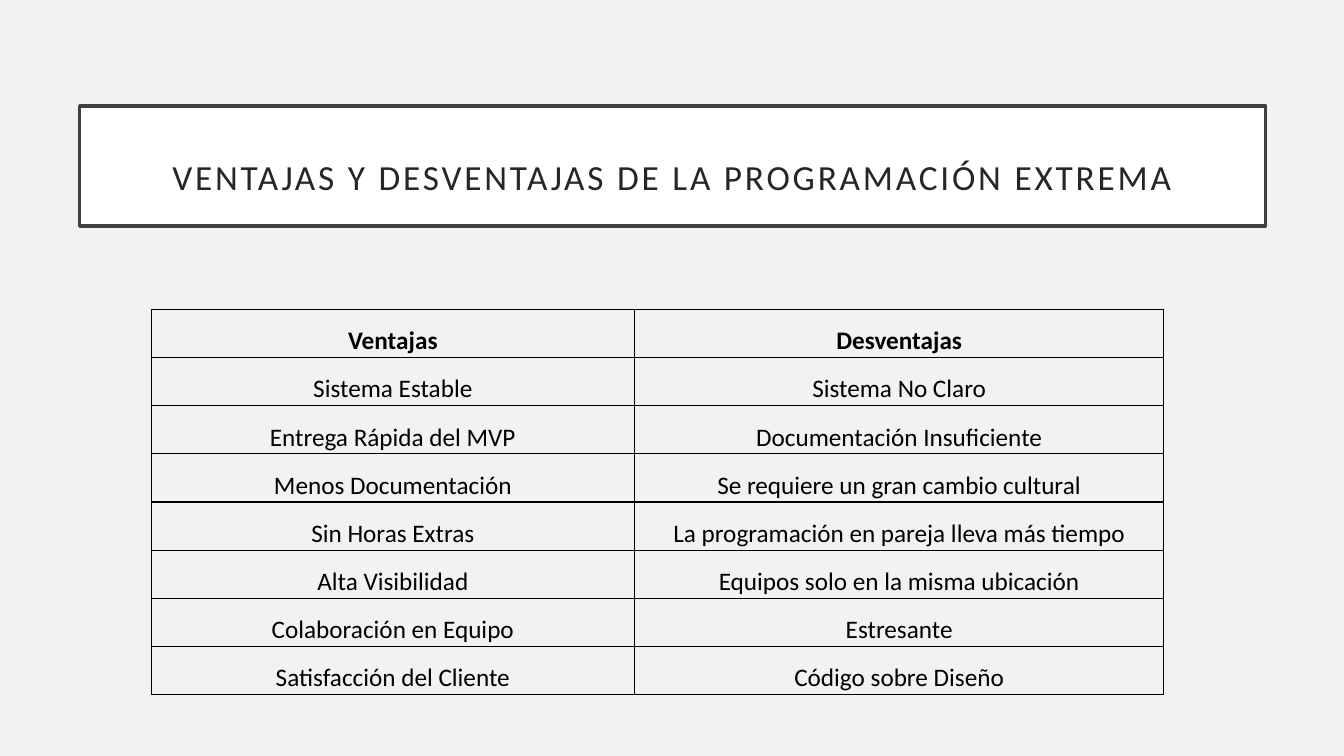
"""Build a slide with a framed title and a table of pros and cons of extreme programming."""
import pptx
import pptx.util
import pptx.dml.color
import pptx.enum.text
import pptx.oxml.ns
import lxml.etree

COLORS = {"bg": "F2F2F2", "panel": "FFFFFF", "frame": "404040", "title": "262626", "ink": "000000"}
ROWS = [
    ("Ventajas", "Desventajas"),
    ("Sistema Estable", "Sistema No Claro"),
    ("Entrega Rápida del MVP", "Documentación Insuficiente"),
    ("Menos Documentación", "Se requiere un gran cambio cultural"),
    ("Sin Horas Extras", "La programación en pareja lleva más tiempo"),
    ("Alta Visibilidad", "Equipos solo en la misma ubicación"),
    ("Colaboración en Equipo", "Estresante"),
    ("Satisfacción del Cliente", "Código sobre Diseño"),
]
Inches, Pt = pptx.util.Inches, pptx.util.Pt
qn = pptx.oxml.ns.qn
ANCHOR = pptx.enum.text.MSO_ANCHOR


def rgb(name):
    return pptx.dml.color.RGBColor.from_string(COLORS[name])


def add_text(p, text, size, color, bold=False):
    p.alignment = pptx.enum.text.PP_ALIGN.CENTER
    p.line_spacing = 1.5
    r = p.add_run()
    r.text = text
    r.font.name = "Calibri"
    r.font.size = Pt(size)
    r.font.bold = bold
    r.font.color.rgb = rgb(color)
    return r


prs = pptx.Presentation()
prs.slide_width, prs.slide_height = Inches(13.33), Inches(7.5)
W, H = prs.slide_width, prs.slide_height
s = prs.slides.add_slide(prs.slide_layouts[5])
s.background.fill.solid()
s.background.fill.fore_color.rgb = rgb("bg")

title = s.shapes.title
title.left, title.top = int(W * 0.0593), int(H * 0.14)
title.width, title.height = int(W * 0.8822), int(H * 0.1587)
title.fill.solid()
title.fill.fore_color.rgb = rgb("panel")
title.line.color.rgb = rgb("frame")
title.line.width = Pt(2.5)
tf = title.text_frame
tf.word_wrap = True
tf.auto_size = pptx.enum.text.MSO_AUTO_SIZE.NONE
tf.vertical_anchor = ANCHOR.MIDDLE
tf.margin_left = tf.margin_right = tf.margin_top = tf.margin_bottom = Inches(0.2)
p = tf.paragraphs[0]
p.space_before = Pt(12)
r = add_text(p, "VENTAJAS Y DESVENTAJAS DE LA PROGRAMACIÓN EXTREMA", 25.2, "title")
r.font._element.set("spc", "200")

frame = s.shapes.add_table(len(ROWS), 2, int(W * 0.1125), int(H * 0.4093), int(W * 0.7535), int(H * 0.448))
table = frame.table
table.first_row = table.horz_banding = False
for column, share in zip(table.columns, (0.3596, 0.3939)):
    column.width = int(W * share)

for i, row in enumerate(ROWS):
    for j, text in enumerate(row):
        cell = table.cell(i, j)
        cell.vertical_anchor = ANCHOR.BOTTOM
        cell.margin_left = cell.margin_right = cell.margin_top = cell.margin_bottom = Inches(0.01)
        p = cell.text_frame.paragraphs[0]
        p.space_after = Pt(8)
        add_text(p, text, 18, "ink", bold=i == 0)
        tcPr = cell._tc.get_or_add_tcPr()
        for side in ("lnL", "lnR", "lnT", "lnB"):
            ln = lxml.etree.SubElement(tcPr, qn("a:" + side), w=str(Pt(1)))
            fill = lxml.etree.SubElement(ln, qn("a:solidFill"))
            lxml.etree.SubElement(fill, qn("a:srgbClr"), val=COLORS["ink"])
        cell.fill.background()

prs.save("out.pptx")
